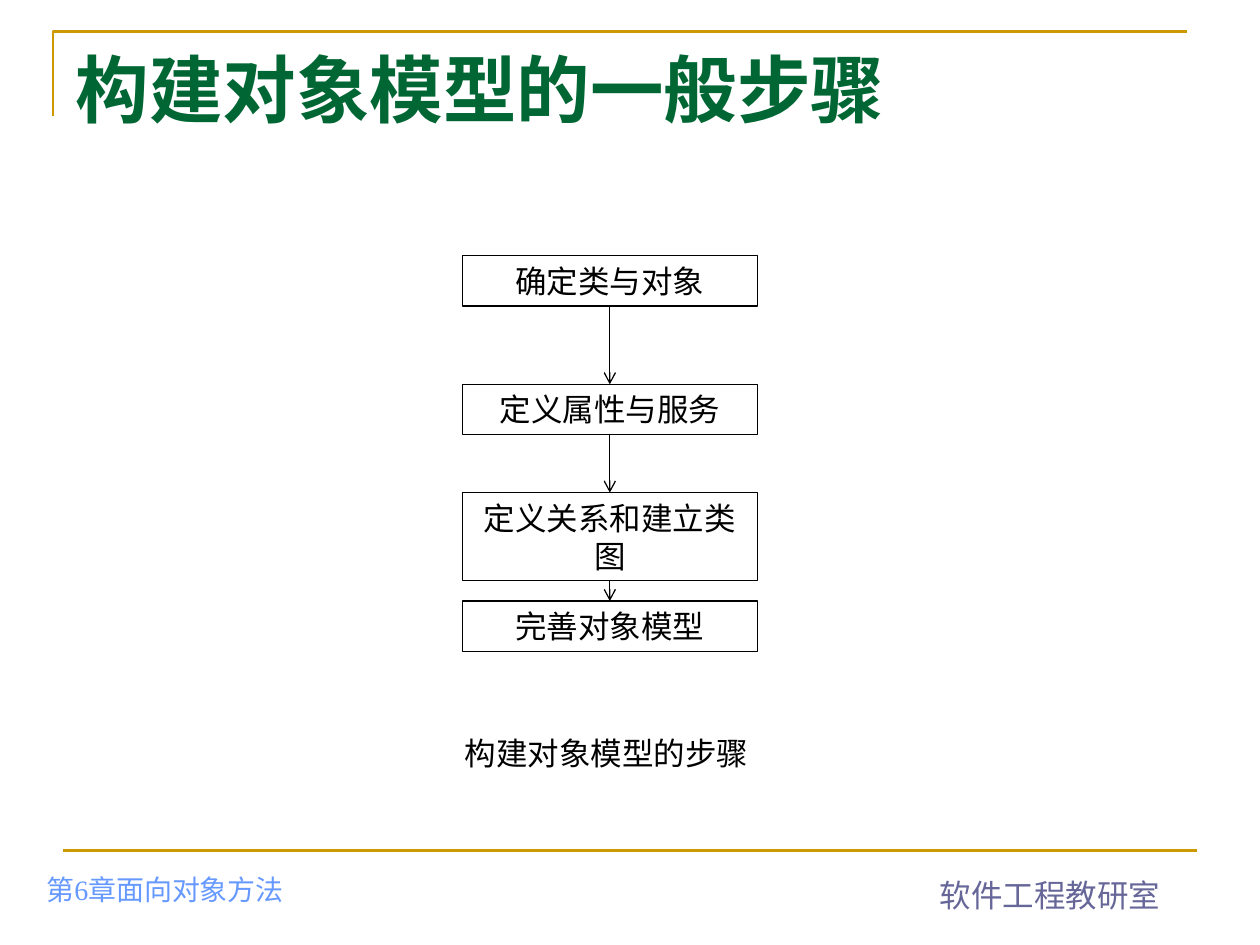
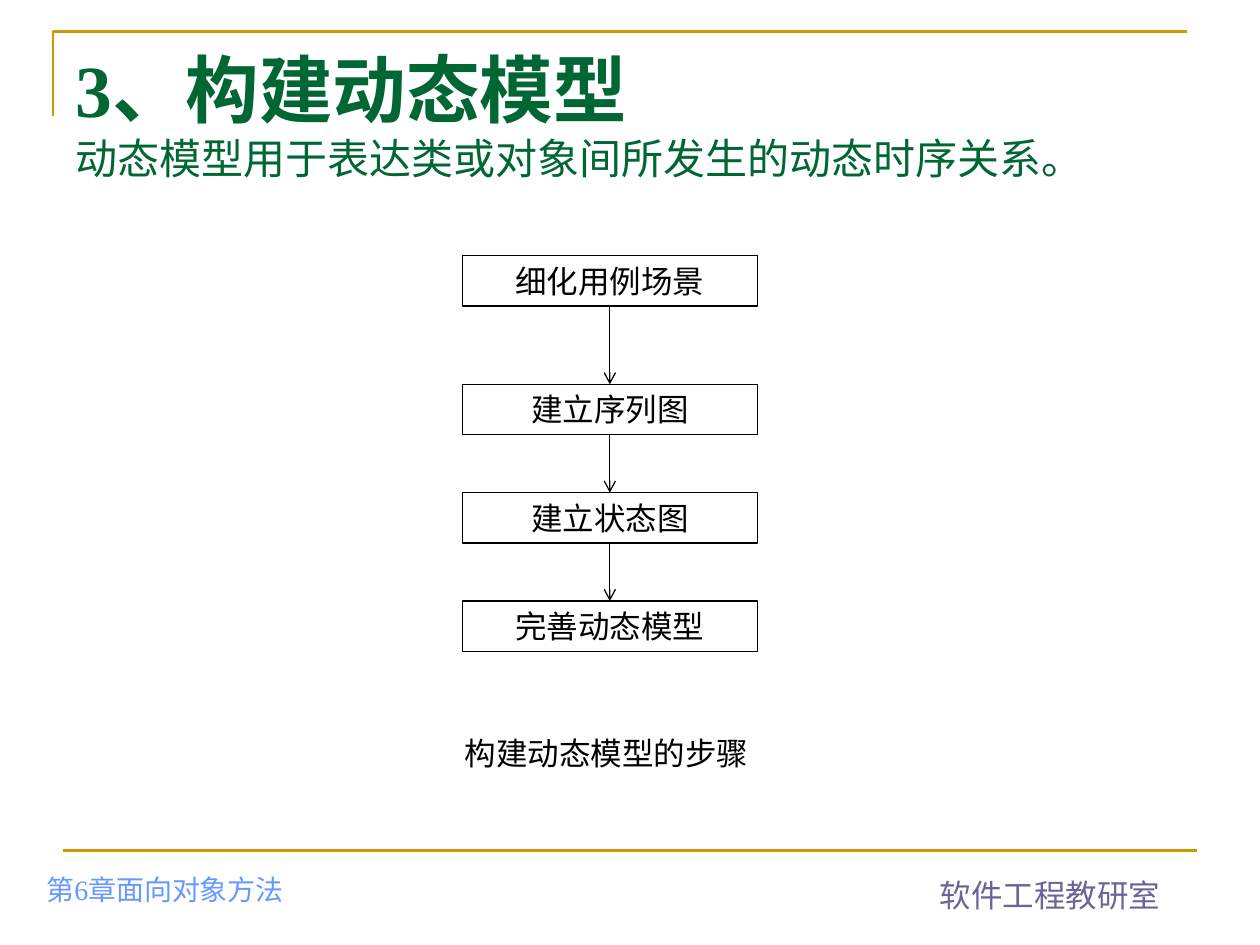
from lxml import etree
from pptx import Presentation
from pptx.dml.color import RGBColor
from pptx.enum import shapes, text
from pptx.oxml import ns
from pptx.util import Inches, Pt

GOLD = RGBColor(0xCC, 0x99, 0x00)
GREEN = RGBColor(0x00, 0x66, 0x33)
BLUE = RGBColor(0x66, 0x99, 0xFF)
VIOLET = RGBColor(0x66, 0x66, 0x99)
BLACK = RGBColor(0, 0, 0)

SERIF, SANS = "Times New Roman", "Arial"
TITLE = {"name": SERIF, "size": Pt(42), "bold": True}
SUBTITLE = {"name": SERIF, "size": Pt(24), "bold": False}
CHAPTER = {"name": SERIF, "size": Pt(16)}
BODY = {"name": SANS, "size": Pt(18)}
FRAME = {
    "margin_left": Inches(0.1), "margin_right": Inches(0.1),
    "margin_top": Inches(0.05), "margin_bottom": Inches(0.05),
    "auto_size": text.MSO_AUTO_SIZE.NONE,
}

STEP_LEFT, STEP_WIDTH, STEP_HEIGHT = 3.67, 2.34, 0.4
STEP_TOPS = [2.03] + [3.05 + 0.86 * row for row in range(3)]
TALL_STEP_HEIGHT = 0.7
CHARS_PER_LINE = 8


class Deck:
    def __init__(self):
        self.prs = Presentation()
        self.prs.slide_width, self.prs.slide_height = Inches(10), Inches(7.5)
        self.slide = None

    def new_slide(self, *heading):
        self.slide = self.prs.slides.add_slide(self.prs.slide_layouts[5])
        self.title(heading)
        self.corner()
        self.line((0.5, 6.75), (9.5, 6.75), GOLD, 1.5)
        self.label("软件工程教研室", (7.36, 6.9, 1.95, 0.4), BODY, VIOLET, wrap=False)
        self.label("第6章面向对象方法", (0.27, 6.74, 3.15, 0.5), CHAPTER, BLUE,
                   anchor=text.MSO_ANCHOR.BOTTOM)

    def fill_text(self, frame, lines, color, align=text.PP_ALIGN.LEFT,
                  anchor=text.MSO_ANCHOR.TOP, wrap=True):
        """Fill a text frame with (wording, font style) lines."""
        for key, value in FRAME.items():
            setattr(frame, key, value)
        frame.word_wrap, frame.vertical_anchor = wrap, anchor
        for index, (wording, style) in enumerate(lines):
            paragraph = frame.add_paragraph() if index else frame.paragraphs[0]
            paragraph.alignment = align
            run = paragraph.add_run()
            run.text = wording
            for key, value in style.items():
                setattr(run.font, key, value)
            run.font.color.rgb = color

    def title(self, heading):
        holder = self.slide.shapes.title
        holder.left, holder.top = Inches(0.5), Inches(0.3)
        holder.width = Inches(9)
        holder.height = Inches(0.87 if len(heading) == 1 else 1.41)
        self.fill_text(holder.text_frame, zip(heading, (TITLE, SUBTITLE)), GREEN)

    def corner(self):
        """Open gold angle above and left of the title."""
        builder = self.slide.shapes.build_freeform(Inches(0.42), Inches(0.92))
        builder.add_line_segments(
            [(Inches(0.42), Inches(0.25)), (Inches(9.42), Inches(0.25))], close=False)
        self.outline(builder.convert_to_shape(), GOLD, 1.5)

    def outline(self, shape, color, width):
        shape.shadow.inherit = False
        shape.fill.background()
        shape.line.color.rgb, shape.line.width = color, Pt(width)

    def line(self, start, end, color, width):
        link = self.slide.shapes.add_connector(
            shapes.MSO_CONNECTOR.STRAIGHT, *map(Inches, (*start, *end)))
        link.line.color.rgb, link.line.width = color, Pt(width)
        etree.SubElement(link._element.spPr, ns.qn("a:effectLst"))
        return link

    def label(self, wording, box, style, color, **layout):
        area = self.slide.shapes.add_textbox(*map(Inches, box))
        self.fill_text(area.text_frame, [(wording, style)], color, **layout)

    def step(self, wording, top):
        height = STEP_HEIGHT if len(wording) <= CHARS_PER_LINE else TALL_STEP_HEIGHT
        box = self.slide.shapes.add_shape(
            shapes.MSO_SHAPE.RECTANGLE,
            *map(Inches, (STEP_LEFT, top, STEP_WIDTH, height)))
        self.outline(box, BLACK, 0.75)
        self.fill_text(box.text_frame, [(wording, BODY)], BLACK, text.PP_ALIGN.CENTER)
        return box

    def arrow(self, upper, lower):
        link = self.line((0, 0), (0, 0), BLACK, 0.75)
        link.begin_connect(upper, 2)
        link.end_connect(lower, 0)
        outline = link._element.spPr.find(ns.qn("a:ln"))
        etree.SubElement(outline, ns.qn("a:tailEnd"), type="arrow")

    def flow(self, steps, caption):
        boxes = [self.step(wording, top) for wording, top in zip(steps, STEP_TOPS)]
        for upper, lower in zip(boxes, boxes[1:]):
            self.arrow(upper, lower)
        self.label(caption, (3.59, 5.78, 2.81, 0.4), BODY, BLACK)


def main():
    deck = Deck()
    deck.new_slide("构建对象模型的一般步骤")
    deck.flow(["确定类与对象", "定义属性与服务", "定义关系和建立类图", "完善对象模型"],
              "构建对象模型的步骤")
    deck.new_slide("3、构建动态模型", "动态模型用于表达类或对象间所发生的动态时序关系。")
    deck.flow(["细化用例场景", "建立序列图", "建立状态图", "完善动态模型"],
              "构建动态模型的步骤")
    deck.prs.save("out.pptx")


if __name__ == "__main__":
    main()
